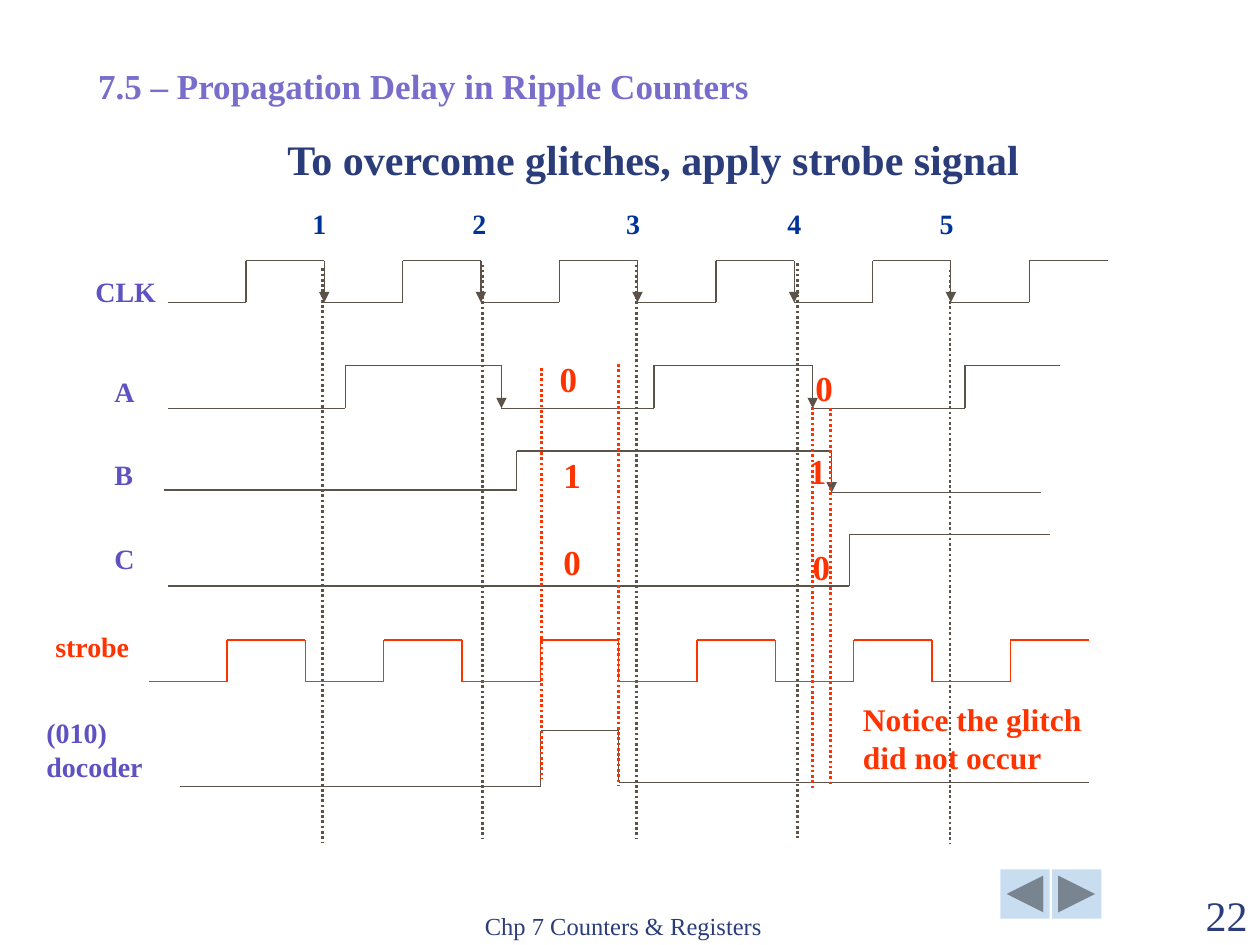
import itertools
from dataclasses import dataclass

import pptx
import pptx.util
from lxml import etree
from pptx.dml.color import RGBColor
from pptx.enum.dml import MSO_LINE
from pptx.enum.shapes import MSO_CONNECTOR, MSO_SHAPE
from pptx.enum.text import MSO_ANCHOR, PP_ALIGN
from pptx.oxml.ns import qn
from pptx.util import Inches


@dataclass
class Theme:
    font: str = "Times New Roman"
    navy: str = "2A3D7A"
    blue: str = "003399"
    purple: str = "5E51C1"
    lilac: str = "786DCB"
    red: str = "FF3300"
    ink: str = "5B5249"
    button: str = "C9DDF1"
    footer: float = 14
    label: float = 16
    note: float = 18
    heading: float = 20
    title: float = 24
    thin: float = 0.75
    dotted: float = 1.5


class TimingSlide:
    def __init__(self, prs, theme):
        self.theme = theme
        self.s = prs.slides.add_slide(prs.slide_layouts[6])

    def text(self, words, box, size, color, bold=True, align=PP_ALIGN.LEFT,
             anchor=MSO_ANCHOR.TOP, inset=None, wrap=True, tabs=()):
        sp = self.s.shapes.add_textbox(*map(Inches, box))
        tf = sp.text_frame
        frame = {"word_wrap": wrap, "vertical_anchor": anchor}
        if inset is not None:
            for side in ("left", "right", "top", "bottom"):
                frame["margin_" + side] = Inches(inset)
        for name, value in frame.items():
            setattr(tf, name, value)
        p = tf.paragraphs[0]
        p.alignment = align
        if tabs:
            stops = etree.SubElement(p._p.get_or_add_pPr(), qn("a:tabLst"))
            for stop in tabs:
                etree.SubElement(stops, qn("a:tab"), pos=str(Inches(stop)), algn="l")
        r = p.add_run()
        r.text = words
        style = {"name": self.theme.font, "size": pptx.util.Pt(size), "bold": bold}
        for name, value in style.items():
            setattr(r.font, name, value)
        r.font.color.rgb = RGBColor.from_string(color)

    def line(self, start, end, color, dotted=False, arrow=False):
        c = self.s.shapes.add_connector(
            MSO_CONNECTOR.STRAIGHT, *map(Inches, (*start, *end)))
        c.line.color.rgb = RGBColor.from_string(color)
        c.line.width = pptx.util.Pt(self.theme.dotted if dotted else self.theme.thin)
        if dotted:
            c.line.dash_style = MSO_LINE.ROUND_DOT
        if arrow:
            etree.SubElement(c.line._get_or_add_ln(), qn("a:tailEnd"), type="triangle")
        etree.SubElement(c._element.spPr, qn("a:effectLst"))

    def wave(self, xs, levels, color, arrows=False):
        """Hold levels[i] from xs[i] to xs[i + 1], with an edge between levels."""
        for x1, x2, y in zip(xs, xs[1:], levels):
            self.line((x1, y), (x2, y), color)
        for x, y1, y2 in zip(xs[1:], levels, levels[1:]):
            self.line((x, y1), (x, y2), color, arrow=arrows and y2 > y1)

    def square_wave(self, left, low, high, color, arrows=False):
        halves, width = 12, 7.46
        xs = [left + width * i / halves for i in range(halves + 1)]
        levels = list(itertools.islice(itertools.cycle((low, high)), halves))
        self.wave(xs, levels, color, arrows)

    def button(self, kind, left):
        sp = self.s.shapes.add_shape(kind, *map(Inches, (left, 6.9, 0.39, 0.39)))
        sp.shadow.inherit = False
        sp.fill.solid()
        sp.fill.fore_color.rgb = RGBColor.from_string(self.theme.button)
        sp.line.fill.background()


def main():
    prs = pptx.Presentation()
    prs.slide_width, prs.slide_height = Inches(10), Inches(7.5)
    t = Theme()
    slide = TimingSlide(prs, t)

    # Navigation buttons and footer
    slide.button(MSO_SHAPE.ACTION_BUTTON_BACK_OR_PREVIOUS, 7.94)
    slide.button(MSO_SHAPE.ACTION_BUTTON_FORWARD_OR_NEXT, 8.35)
    slide.text("Chp 7 Counters & Registers", (3.75, 7.01, 3.17, 0.5), t.footer,
               t.navy, bold=False, anchor=MSO_ANCHOR.BOTTOM)
    slide.text("22", (9, 7.01, 1, 0.5), t.title, t.navy, bold=False,
               align=PP_ALIGN.RIGHT, anchor=MSO_ANCHOR.BOTTOM)

    # Headings and clock pulse numbers
    slide.text("7.5 – Propagation Delay in Ripple Counters",
               (0.68, 0.46, 5.62, 0.43), t.heading, t.lilac)
    slide.text("To overcome glitches, apply strobe signal",
               (2.16, 1.01, 6.05, 0.5), t.title, t.navy,
               align=PP_ALIGN.CENTER, wrap=False)
    slide.text("\t".join("12345"), (2.38, 1.59, 5.71, 0.37), t.label, t.blue,
               tabs=(1.27, 2.49, 3.77, 4.98))

    # Counter signals
    slide.square_wave(1.33, 2.4, 2.07, t.ink, arrows=True)
    slide.wave((1.33, 2.74, 3.98, 5.19, 6.45, 7.66, 8.41),
               (3.24, 2.9) * 3, t.ink, arrows=True)
    slide.wave((1.3, 4.1, 6.6, 8.26), (3.89, 3.58, 3.91), t.ink, arrows=True)
    slide.wave((1.33, 6.74, 8.33), (4.65, 4.24), t.ink)

    # Guides at the falling clock edges
    for x, top, bottom in ((2.56, 2.13, 6.68), (3.83, 2.1, 6.65), (5.05, 2.1, 6.66),
                           (6.33, 2.09, 6.65), (7.54, 2.14, 6.7)):
        slide.line((x, top), (x, bottom), t.ink, dotted=True)

    # Signal labels
    for words, left, top, width, height, color in (
            ("CLK", 0.66, 2.13, 0.73, 0.37, t.purple),
            ("A", 0.81, 2.92, 0.44, 0.37, t.purple),
            ("B", 0.81, 3.58, 0.44, 0.37, t.purple),
            ("C", 0.81, 4.25, 0.44, 0.37, t.purple),
            ("strobe", 0.34, 4.95, 0.89, 0.37, t.red),
            ("(010) docoder", 0.27, 5.63, 0.99, 0.64, t.purple)):
        slide.text(words, (left, top, width, height), t.label, color)

    # Counter states inside the two decoded windows
    for bit, left, top in (("0", 4.4, 2.84), ("1", 4.43, 3.6), ("0", 4.43, 4.29),
                           ("0", 6.43, 2.91), ("1", 6.38, 3.57), ("0", 6.41, 4.33)):
        slide.text(bit, (left, top, 0.22, 0.33), t.heading, t.red,
                   align=PP_ALIGN.CENTER, inset=0)

    # Strobe and decoder output
    slide.square_wave(1.18, 5.41, 5.08, t.red)
    slide.wave((1.43, 4.29, 4.91, 8.64), (6.24, 5.8, 6.21), t.ink)

    # Guides around the decoded windows
    for x, top, bottom in ((4.3, 2.92, 6.18), (4.91, 2.89, 6.23),
                           (6.45, 3.23, 6.26), (6.59, 3.24, 6.23)):
        slide.line((x, top), (x, bottom), t.red, dotted=True)

    slide.text("Notice the glitch did not occur", (6.75, 5.51, 2.28, 0.7),
               t.note, t.red)

    prs.save("out.pptx")


if __name__ == "__main__":
    main()
